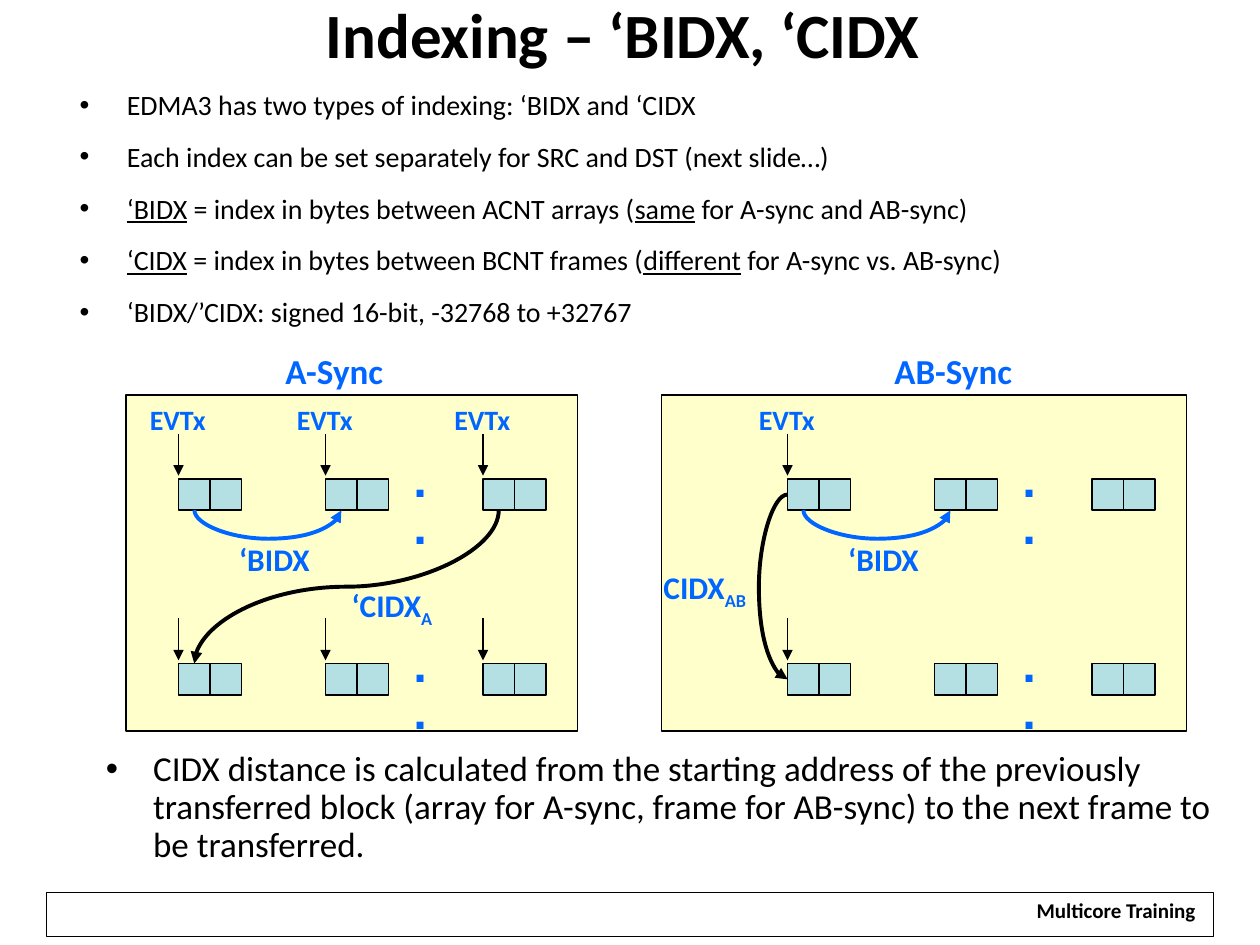
from lxml.etree import SubElement
from pptx import Presentation
from pptx.dml.color import RGBColor
from pptx.enum.shapes import MSO_CONNECTOR as Link, MSO_SHAPE as Shape
from pptx.enum.text import MSO_ANCHOR as Anchor, MSO_AUTO_SIZE as Fit, PP_ALIGN as Align
from pptx.oxml.ns import qn
from pptx.util import Emu, Pt

EMU_PER_PX = 7620
COLORS = {"ink": "000000", "paper": "FFFFFF", "panel": "FFFFCC", "cell": "B5E0E3", "accent": "0066FF"}

TITLE = "Indexing – ‘BIDX, ‘CIDX "
FOOTER = "Multicore Training"
POINTS = [
    [("EDMA3 has two types of indexing: ‘BIDX and ‘CIDX", {})],
    [("Each index can be set separately for SRC and DST (next slide…)", {})],
    [("‘BIDX", {"underline": True}), (" = index in bytes between ACNT arrays (", {}),
     ("same", {"underline": True}), (" for A-sync and AB-sync)", {})],
    [("‘CIDX", {"underline": True}), (" = index in bytes between BCNT frames (", {}),
     ("different", {"underline": True}), (" for A-sync vs. AB-sync)", {})],
    [("‘BIDX/’CIDX: signed 16-bit, -32768 to +32767", {})],
]
CONCLUSION = [[(
    "CIDX distance is calculated from the starting address of the previously\n"
    "transferred block (array for A-sync, frame for AB-sync) to the next frame to\n"
    "be transferred.", {})]]

SYNCS = [
    {"heading": "A-Sync", "heading_box": (260, 335, 119, 44), "panel": (120, 376, 430, 320),
     "left": 170, "events": 3, "cidx": ("‘CIDX", "A"), "cidx_box": (323, 556, 102, 42),
     "cidx_curve": {"start": (2, 0, 2), "end": (0, 0, 0), "turn": 90, "adj": 49900}},
    {"heading": "AB-Sync", "heading_box": (840, 335, 138, 44), "panel": (630, 376, 500, 320),
     "left": 750, "events": 1, "cidx": ("CIDX", "AB"), "cidx_box": (620, 539, 107, 41),
     "cidx_curve": {"start": (0, 0, 1), "end": (0, 1, 1), "turn": 0, "adj": -14400000}},
]
SYNCS[0]["cidx_curve"]["end"] = (0, 1, 0)
BIDX_CURVE = {"start": (0, 0, 2), "end": (1, 0, 2), "turn": 270, "flip": True, "adj": 14400000}
ARRAY_OFFSETS = [0, 140, 290]
FRAME_TOPS = [456, 632]
CELL = 30
THIN_SPAN = 1588


def px(value):
    return Emu(value * EMU_PER_PX)


def color(name):
    return RGBColor.from_string(COLORS[name])


def add_box(slide, bounds, fill=None, weight=1):
    box = slide.shapes.add_shape(Shape.RECTANGLE, *map(px, bounds))
    box.shadow.inherit = False
    if fill:
        box.fill.solid()
        box.fill.fore_color.rgb = color(fill)
    else:
        box.fill.background()
    box.line.color.rgb = color("ink")
    box.line.width = Pt(weight)
    return box


def add_text(slide, bounds, paragraphs, size, ink="accent", font="Calibri", bold=True,
             spacing=0.8, align=None, bullets=False, frame=None):
    box = slide.shapes.add_textbox(*map(px, bounds))
    body = box.text_frame
    settings = {"word_wrap": False, "auto_size": Fit.SHAPE_TO_FIT_TEXT, **(frame or {})}
    for key, value in settings.items():
        setattr(body, key, value)
    for index, parts in enumerate(paragraphs):
        paragraph = body.add_paragraph() if index else body.paragraphs[0]
        paragraph.line_spacing = spacing
        paragraph.alignment = align
        if bullets:
            properties = paragraph._p.get_or_add_pPr()
            properties.set("marL", str(px(45)))
            properties.set("indent", str(-px(45)))
            paragraph.space_after = Pt(size * 0.3)
            if index:
                paragraph.space_before = Pt(size * 0.475)
            SubElement(properties, qn("a:buFont")).set("typeface", "Arial")
            SubElement(properties, qn("a:buChar")).set("char", "•")
        for text, style in parts:
            for row, line in enumerate(text.split("\n")):
                if row:
                    paragraph.add_line_break()
                run = paragraph.add_run()
                run.text = line
                look = {"name": font, "size": Pt(size), "bold": bold,
                        "underline": style.get("underline")}
                for key, value in look.items():
                    setattr(run.font, key, value)
                run.font.color.rgb = color(ink)
                if style.get("subscript"):
                    run._r.get_or_add_rPr().set("baseline", "-25000")
    return box


def add_link(slide, kind, start, end, ink, weight):
    link = slide.shapes.add_connector(kind, *map(px, start + end))
    link.line.color.rgb = color(ink)
    link.line.width = Pt(weight)
    SubElement(link.line._get_or_add_ln(), qn("a:tailEnd")).set("type", "triangle")
    SubElement(link._element.spPr, qn("a:effectLst"))
    return link


def add_curve(slide, cells, start, end, turn, adj, ink, flip=False):
    link = add_link(slide, Link.CURVE, (0, 0), (1, 1), ink, 2.25)
    link.begin_connect(cells[start[:2]], start[2])
    link.end_connect(cells[end[:2]], end[2])
    left, right = sorted((link.begin_x, link.end_x))
    top, bottom = sorted((link.begin_y, link.end_y))
    width, height = right - left, bottom - top
    if turn:
        width, height = height, width
    place = {"left": Emu((left + right - width) // 2), "top": Emu((top + bottom - height) // 2),
             "width": Emu(width or THIN_SPAN), "height": Emu(height), "rotation": turn}
    for key, value in place.items():
        setattr(link, key, value)
    transform = link._element.spPr.xfrm
    transform.flipH, transform.flipV = flip, False
    geometry = link._element.spPr.find(qn("a:prstGeom"))
    guides = geometry.find(qn("a:avLst"))
    if guides is None:
        guides = SubElement(geometry, qn("a:avLst"))
    guide = SubElement(guides, qn("a:gd"))
    guide.set("name", "adj1")
    guide.set("fmla", f"val {adj}")


def add_sync(slide, sync):
    left = sync["left"]
    add_box(slide, sync["panel"], "panel")
    first_cells = {}
    for frame, top in enumerate(FRAME_TOPS):
        for array, offset in enumerate(ARRAY_OFFSETS):
            x = left + offset
            first_cells[array, frame] = add_box(slide, (x, top, CELL, CELL), "cell")
            add_box(slide, (x + CELL, top, CELL, CELL), "cell")
            if array < sync["events"]:
                add_link(slide, Link.STRAIGHT, (x, top - 43), (x, top - 3), "ink", 1)
                if frame == 0:
                    add_text(slide, (x - 39, top - 72, 79, 37), [[("EVTx", {})]], 16)
        add_text(slide, (left + 212, top - 24, 62, 56), [[(". .", {})]], 28, font="Arial")
    add_curve(slide, first_cells, ink="accent", **BIDX_CURVE)
    add_curve(slide, first_cells, ink="ink", **sync["cidx_curve"])
    add_text(slide, (left + 46, 515, 91, 42), [[("‘BIDX", {})]], 18)
    index, suffix = sync["cidx"]
    add_text(slide, sync["cidx_box"], [[(index, {}), (suffix, {"subscript": True})]], 18)
    add_text(slide, sync["heading_box"], [[(sync["heading"], {})]], 20)


def main():
    deck = Presentation()
    deck.slide_width, deck.slide_height = px(1200), px(900)
    slide = deck.slides.add_slide(deck.slide_layouts[6])

    add_box(slide, (44, 850, 1112, 42), weight=0.75)
    footer = add_text(slide, (974, 854, 178, 31), [[(FOOTER, {})]], 12, "ink", align=Align.CENTER)
    footer.fill.solid()
    footer.fill.fore_color.rgb = color("paper")

    margins = {f"margin_{side}": px(6) for side in ("left", "right", "top", "bottom")}
    add_text(slide, (0, 7, 1200, 80), [[(TITLE, {})]], 36, "ink", spacing=0.75,
             align=Align.CENTER, frame={"word_wrap": True, "auto_size": Fit.NONE, **margins})
    for bounds, paragraphs, size in [((64, 70, 913, 260), POINTS, 16),
                                     ((89, 709, 1087, 121), CONCLUSION, 20)]:
        add_text(slide, bounds, paragraphs, size, "ink", bold=False, spacing=0.9,
                 bullets=True, frame={"vertical_anchor": Anchor.MIDDLE})
    for sync in SYNCS:
        add_sync(slide, sync)
    deck.save("out.pptx")


if __name__ == "__main__":
    main()
